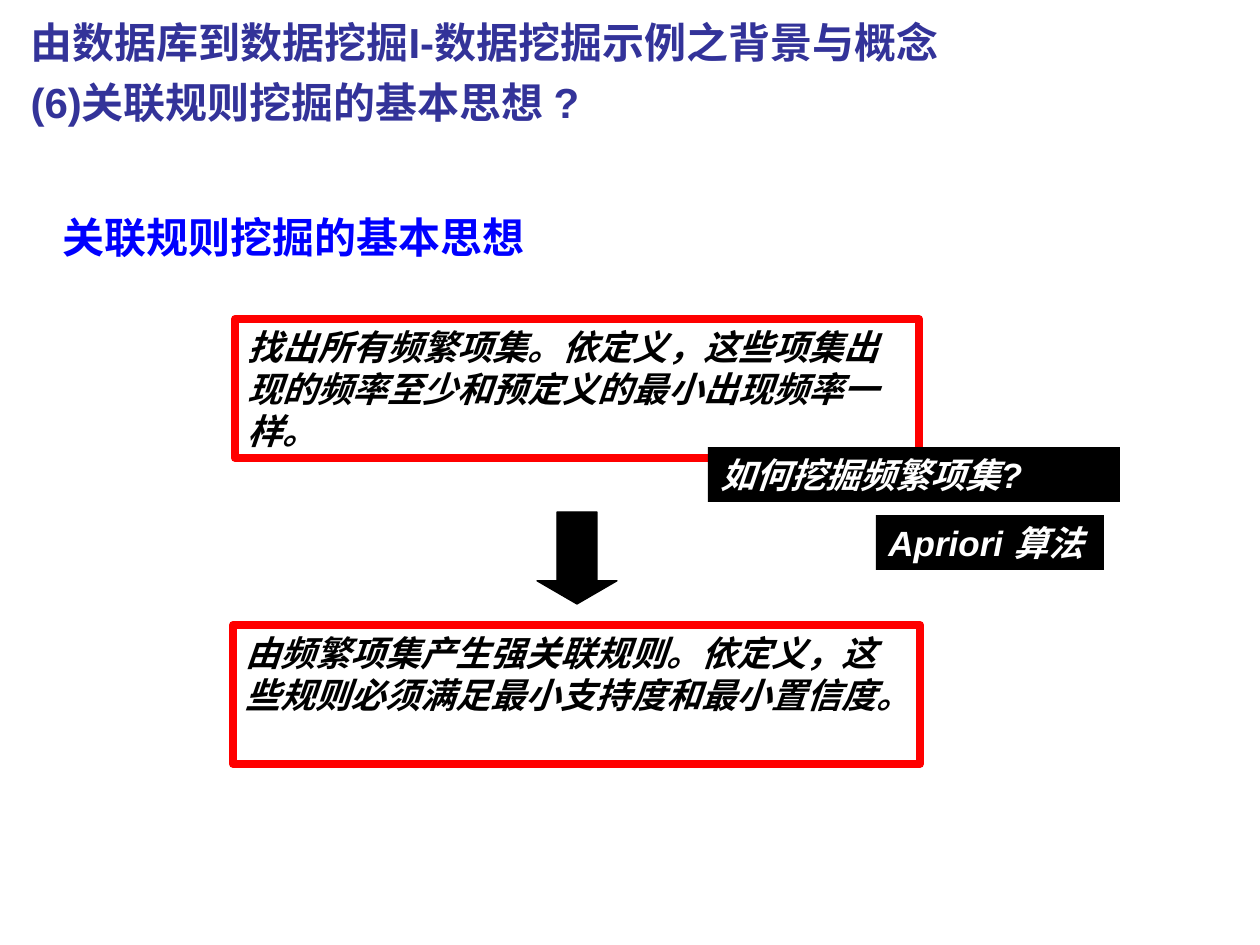
from pptx import Presentation
from pptx.dml.color import RGBColor
from pptx.enum.shapes import MSO_SHAPE
from pptx.enum.text import MSO_ANCHOR, MSO_AUTO_SIZE, PP_ALIGN
from pptx.util import Emu, Pt

RECTANGLE = MSO_SHAPE.RECTANGLE
DOWN_ARROW = MSO_SHAPE.DOWN_ARROW
TOP = MSO_ANCHOR.TOP
LEFT = PP_ALIGN.LEFT
NO_AUTOFIT = MSO_AUTO_SIZE.NONE

EMU_PER_PX = 914400 / 126
FONT = "Arial"
COLORS = {
    "title": "333399",
    "heading": "0000FF",
    "border": "FF0000",
    "black": "000000",
    "white": "FFFFFF",
}


def px(length):
    return Emu(round(length * EMU_PER_PX))


def color(name):
    return RGBColor.from_string(COLORS[name])


def write(shape, text, size, color_name, italic=False, wrap=True, spacing=None):
    frame = shape.text_frame
    frame.text = text
    frame.word_wrap = wrap
    frame.auto_size = NO_AUTOFIT
    frame.vertical_anchor = TOP
    for paragraph in frame.paragraphs:
        paragraph.alignment = LEFT
        if spacing:
            paragraph.line_spacing = spacing
        for run in paragraph.runs:
            run.font.name = FONT
            run.font.size = Pt(size)
            run.font.bold = True
            run.font.italic = italic
            run.font.color.rgb = color(color_name)


def add_block(slide, kind, box, fill, line=None, line_width=0):
    shape = slide.shapes.add_shape(kind, *map(px, box))
    shape.shadow.inherit = False
    shape.fill.solid()
    shape.fill.fore_color.rgb = color(fill)
    if line:
        shape.line.color.rgb = color(line)
        shape.line.width = Pt(line_width)
    else:
        shape.line.fill.background()
    return shape


def place_title(slide, box, text):
    title = slide.shapes.title
    title.left, title.top, title.width, title.height = map(px, box)
    write(title, text, 24, "title", wrap=False, spacing=1.2)


def add_heading(slide, box, text):
    heading = slide.shapes.add_textbox(*map(px, box))
    write(heading, text, 24, "heading", wrap=False)


def add_step(slide, box, text):
    step = add_block(slide, RECTANGLE, box, "white", "border", 4.5)
    write(step, text, 20, "black", italic=True)


def add_arrow(slide, box):
    arrow = add_block(slide, DOWN_ARROW, box, "black", "black", 0.75)
    arrow.adjustments[0] = 0.5
    arrow.adjustments[1] = 0.29


def add_label(slide, box, text, wrap=True):
    label = add_block(slide, RECTANGLE, box, "black")
    write(label, text, 20, "white", italic=True, wrap=wrap)


def main():
    presentation = Presentation()
    presentation.slide_width = px(1260)
    presentation.slide_height = px(945)
    slide = presentation.slides.add_slide(presentation.slide_layouts[5])
    place_title(
        slide,
        (18, 0, 953, 134),
        "由数据库到数据挖掘I-数据挖掘示例之背景与概念\n(6)关联规则挖掘的基本思想 ?",
    )
    add_heading(slide, (50, 205, 486, 63), "关联规则挖掘的基本思想")
    add_step(
        slide,
        (233, 625, 687, 139),
        "由频繁项集产生强关联规则。依定义，这些规则必须满足最小支持度和最小置信度。",
    )
    add_step(
        slide,
        (235, 319, 684, 139),
        "找出所有频繁项集。依定义，这些项集出现的频率至少和预定义的最小出现频率一样。",
    )
    add_arrow(slide, (537, 512, 80, 92))
    add_label(slide, (708, 447, 412, 55), "如何挖掘频繁项集?")
    add_label(slide, (876, 515, 228, 55), "Apriori 算法", wrap=False)
    presentation.save("out.pptx")


if __name__ == "__main__":
    main()
